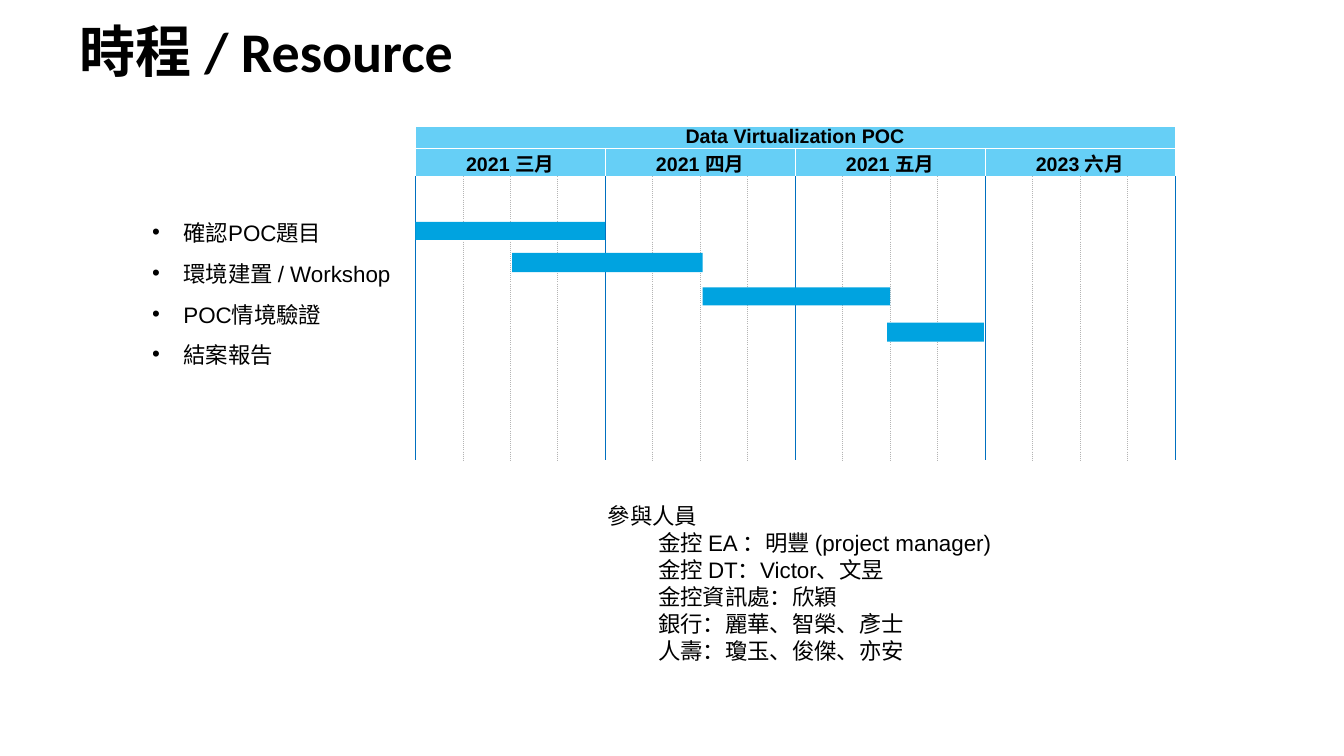
from pptx import Presentation
from pptx.dml.color import RGBColor
from pptx.enum.shapes import MSO_SHAPE
from pptx.enum.text import MSO_ANCHOR, PP_ALIGN
from pptx.oxml.ns import qn
from pptx.util import Inches, Pt
from lxml.etree import SubElement, Element

TITLE = "時程 / Resource"
HEADING = "Data Virtualization POC"
MONTHS = ["2021 三月", "2021 四月", "2021 五月", "2023 六月"]
TASKS = ["確認POC題目", "環境建置 / Workshop", "POC情境驗證", "結案報告"]
BARS = [(4.12, 2.2, 1.88, 0.18), (5.08, 2.51, 1.89, 0.19),
        (6.97, 2.85, 1.86, 0.18), (8.8, 3.2, 0.96, 0.19)]
PEOPLE = ["參與人員", "金控 EA ：明豐 (project manager)", "金控 DT：Victor、文昱",
          "金控資訊處：欣穎", "銀行：麗華、智榮、彥士", "人壽：瓊玉、俊傑、亦安"]

COLORS = {"text": "000000", "header": "00B0F0", "bar": "00A3E0",
          "white": "FFFFFF", "month": "0070C0", "week": "B4B4B4"}
WEEKS = 4
TASK_W, MONTHS_W = 2.61, 7.54
ROW_HEIGHTS = [0.22, 0.28, 2.81]


def rgb(name):
    return RGBColor.from_string(COLORS[name])


def write(p, text, size=16, font="Arial", bold=False, align=PP_ALIGN.LEFT,
          before=0, margin=0, bullet=None):
    p.alignment = align
    p.space_before = Pt(before)
    pPr = p._p.get_or_add_pPr()
    pPr.set("marL", str(Inches(margin)))
    pPr.set("indent", str(-Inches(margin) if bullet else 0))
    if bullet:
        SubElement(pPr, qn("a:buFont"), typeface="Arial")
        SubElement(pPr, qn("a:buChar"), char=bullet)
    r = p.add_run()
    r.text = text
    r.font.name, r.font.size, r.font.bold = font, Pt(size), bold
    r.font.color.rgb = rgb("text")


def set_margins(box, left, top, right, bottom):
    box.margin_left, box.margin_top = Inches(left), Inches(top)
    box.margin_right, box.margin_bottom = Inches(right), Inches(bottom)


def set_borders(cell, **sides):
    tcPr = cell._tc.get_or_add_tcPr()
    for i, side in enumerate("LRTB"):
        color = sides.get(side, "white")
        ln = Element(qn("a:ln" + side), w=str(Pt(0.5)))
        fill = SubElement(ln, qn("a:solidFill"))
        SubElement(fill, qn("a:srgbClr"), val=COLORS[color])
        SubElement(ln, qn("a:prstDash"), val="sysDot" if color == "week" else "solid")
        tcPr.insert(i, ln)


def add_header(cell, text, last):
    cell.merge(last)
    write(cell.text_frame.paragraphs[0], text, size=14, bold=True, align=PP_ALIGN.CENTER)


def add_schedule(slide):
    cols = 1 + WEEKS * len(MONTHS)
    frame = slide.shapes.add_table(len(ROW_HEIGHTS), cols, Inches(1.51), Inches(1.25),
                                   Inches(TASK_W + MONTHS_W), Inches(sum(ROW_HEIGHTS)))
    table = frame.table
    table.first_row = table.horz_banding = False
    for row, height in zip(table.rows, ROW_HEIGHTS):
        row.height = Inches(height)
    for c, col in enumerate(table.columns):
        col.width = Inches(MONTHS_W / (cols - 1) if c else TASK_W)

    add_header(table.cell(0, 1), HEADING, table.cell(0, cols - 1))
    for i, month in enumerate(MONTHS):
        first = 1 + i * WEEKS
        add_header(table.cell(1, first), month, table.cell(1, first + WEEKS - 1))

    task_cell = table.cell(2, 0)
    tf = task_cell.text_frame
    for i, task in enumerate(TASKS):
        p = tf.add_paragraph() if i else tf.paragraphs[0]
        write(p, task, before=6 if i else 0, margin=0.31, bullet="•")

    for r in range(len(ROW_HEIGHTS)):
        for c in range(cols):
            cell = table.cell(r, c)
            set_margins(cell, 0, 0, 0, 0)
            cell.vertical_anchor = MSO_ANCHOR.MIDDLE if r < 2 else MSO_ANCHOR.TOP
            if not cell.text_frame.text:
                SubElement(cell.text_frame.paragraphs[0]._p, qn("a:endParaRPr"), sz="800")
            if r < 2 and c:
                cell.fill.solid()
                cell.fill.fore_color.rgb = rgb("header")
                for clr in cell._tc.tcPr.iter(qn("a:srgbClr")):
                    SubElement(clr, qn("a:alpha"), val="60000")
            else:
                cell.fill.background()
            if r < 2:
                set_borders(cell)
            elif c == 0:
                set_borders(cell, R="month")
            else:
                set_borders(cell, L="month" if c % WEEKS == 1 else "week",
                            R="month" if c % WEEKS == 0 else "week")
    set_margins(task_cell, 0, 0.39, 0, 0.05)


def main():
    prs = Presentation()
    prs.slide_width, prs.slide_height = Inches(13.33), Inches(7.5)
    slide = prs.slides.add_slide(prs.slide_layouts[5])

    add_schedule(slide)

    title = slide.shapes.title
    title.left, title.top = Inches(0.74), Inches(0.12)
    title.width, title.height = Inches(9.4), Inches(0.75)
    tf = title.text_frame
    tf.vertical_anchor = MSO_ANCHOR.MIDDLE
    set_margins(tf, 0.05, 0.05, 0.05, 0.05)
    write(tf.paragraphs[0], TITLE, size=40, font="Calibri", bold=True)

    for box in BARS:
        sp = slide.shapes.add_shape(MSO_SHAPE.RECTANGLE, *map(Inches, box))
        sp.shadow.inherit = False
        sp.fill.solid()
        sp.fill.fore_color.rgb = rgb("bar")
        sp.line.fill.background()

    people = slide.shapes.add_textbox(Inches(6), Inches(4.95), Inches(4.84), Inches(1.67))
    tf = people.text_frame
    tf.word_wrap = True
    tf.vertical_anchor = MSO_ANCHOR.MIDDLE
    set_margins(tf, 0.03, 0.03, 0.03, 0.03)
    for i, line in enumerate(PEOPLE):
        p = tf.add_paragraph() if i else tf.paragraphs[0]
        p.level = 1 if i else 0
        write(p, line, margin=0.5 if i else 0)

    prs.save("out.pptx")


if __name__ == "__main__":
    main()
